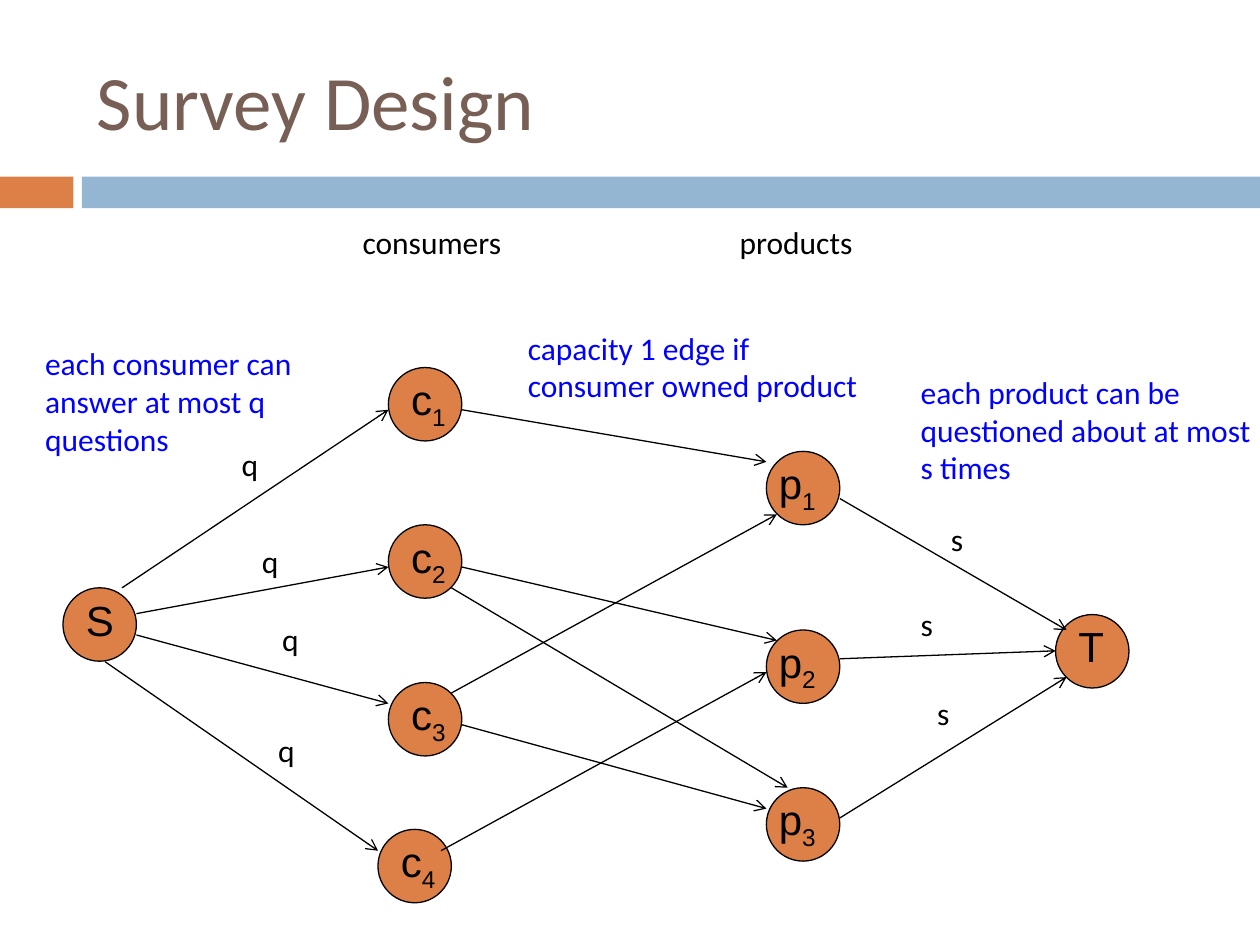
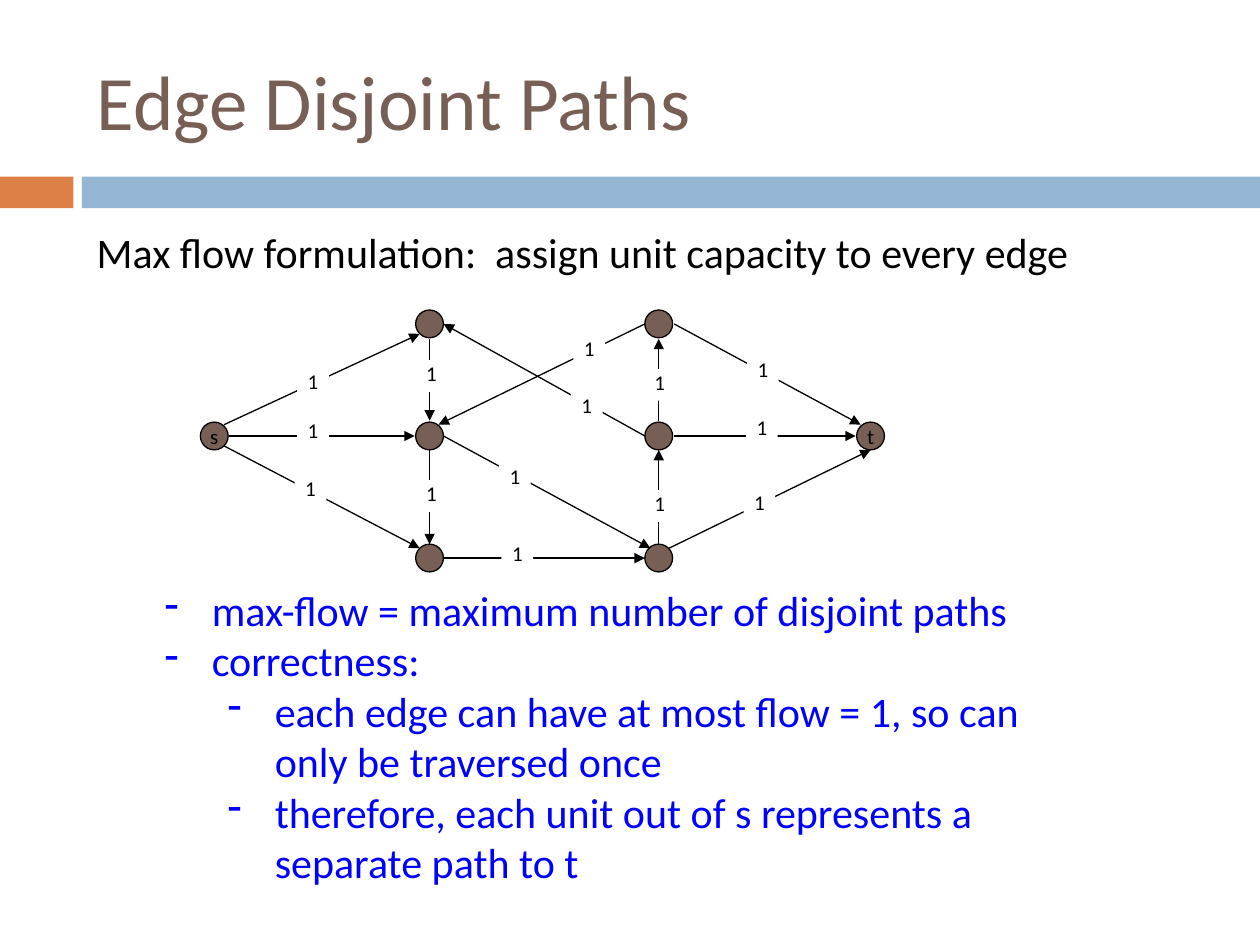
from lxml import etree
from pptx import Presentation
from pptx.dml.color import RGBColor
from pptx.enum.shapes import MSO_CONNECTOR, MSO_SHAPE
from pptx.enum.text import MSO_ANCHOR, PP_ALIGN
from pptx.oxml.ns import qn
from pptx.util import Cm, Pt

RECT, OVAL = MSO_SHAPE.RECTANGLE, MSO_SHAPE.OVAL
LINE = MSO_CONNECTOR.STRAIGHT
TOP, MID = MSO_ANCHOR.TOP, MSO_ANCHOR.MIDDLE
LEFT, CENTER = PP_ALIGN.LEFT, PP_ALIGN.CENTER

HUES = {"orange": "DD8047", "sky": "94B6D2", "brown": "775F55",
        "black": "000000", "blue": "0000FF", "white": "FFFFFF"}


class Deck:
    """Holds the shared style and the current slide, and draws each kind of element."""

    def __init__(self):
        self.prs = Presentation()
        self.prs.slide_width, self.prs.slide_height = Cm(25.4), Cm(19.05)

    def hue(self, name):
        return RGBColor.from_string(HUES[name])

    def page(self, title):
        self.slide = self.prs.slides.add_slide(self.prs.slide_layouts[6])
        self.shape(RECT, 0, 3.56, 1.48, 0.64, "orange")
        self.shape(RECT, 1.65, 3.56, 23.75, 0.64, "sky")
        box = self.text(title, 1.7, 0.64, 22.66, 2.74, size=44, hue="brown")
        box.text_frame.vertical_anchor = MID

    def style(self, para, size, hue, face="Calibri", align=LEFT):
        para.alignment = align
        font = para.font
        font.size, font.name = Pt(size), face
        font.color.rgb = self.hue(hue)

    def shape(self, kind, x, y, w, h, fill, edge=False):
        item = self.slide.shapes.add_shape(kind, Cm(x), Cm(y), Cm(w), Cm(h))
        item.shadow.inherit = False
        item.fill.solid()
        item.fill.fore_color.rgb = self.hue(fill)
        if edge:
            item.line.color.rgb = self.hue("black")
            item.line.width = Pt(0.75)
        else:
            item.line.fill.background()
        return item

    def text(self, words, x, y, w, h=1.02, size=18, hue="black", face="Calibri"):
        box = self.slide.shapes.add_textbox(Cm(x), Cm(y), Cm(w), Cm(h))
        box.text_frame.word_wrap = True
        para = box.text_frame.paragraphs[0]
        para.text = words
        self.style(para, size, hue, face)
        return box

    def inner(self, item, words, anchor):
        frame = item.text_frame
        frame.margin_left = frame.margin_right = 0
        frame.margin_top = frame.margin_bottom = 0
        frame.vertical_anchor = anchor
        para = frame.paragraphs[0]
        para.text = words
        self.style(para, 12, "black", align=CENTER)

    def node(self, name, sub, x, y, shift):
        self.shape(OVAL, x, y, 1.48, 1.48, "orange", True)
        box = self.text(name, x + shift, y, 1.48, 1.3, 24, face="Arial")
        if sub:
            run = box.text_frame.paragraphs[0].add_run()
            run.text = sub
            run._r.get_or_add_rPr().set("baseline", "-25000")

    def dot(self, x, y, name=""):
        item = self.shape(OVAL, x, y, 0.56, 0.56, "brown", True)
        if name:
            self.inner(item, name, MID)
            item.text_frame.word_wrap = False

    def tag(self, words, x, y, h):
        self.inner(self.shape(RECT, x, y, 0.64, h, "white"), words, TOP)

    def arrow(self, x1, y1, x2, y2, tip):
        link = self.slide.shapes.add_connector(LINE, Cm(x1), Cm(y1), Cm(x2), Cm(y2))
        link.line.color.rgb = self.hue("black")
        link.line.width = Pt(0.75)
        etree.SubElement(link.line._get_or_add_ln(), qn("a:tailEnd"), type=tip)
        etree.SubElement(link._element.spPr, qn("a:effectLst"))

    def bullets(self, items, x, y, w, h):
        box = self.slide.shapes.add_textbox(Cm(x), Cm(y), Cm(w), Cm(h))
        frame = box.text_frame
        frame.word_wrap = True
        for i, (level, words) in enumerate(items):
            para = frame.add_paragraph() if i else frame.paragraphs[0]
            para.text, para.level = words, level
            props = para._p.get_or_add_pPr()
            props.set("marL", str(Cm(0.95 + 1.27 * level)))
            props.set("indent", str(-Cm(0.95)))
            etree.SubElement(props, qn("a:buChar"), char="-")
            self.style(para, 24, "blue")


def survey(deck):
    deck.page("Survey Design")
    for name, sub, x, y, shift in [
            ("c", "1", 7.83, 7.41, 0.21), ("c", "2", 7.83, 10.58, 0.21),
            ("c", "3", 7.83, 13.76, 0.21), ("c", "4", 7.62, 16.72, 0.21),
            ("p", "1", 15.45, 9.1, 0), ("p", "2", 15.45, 12.7, 0),
            ("p", "3", 15.45, 15.88, 0),
            ("S", "", 1.27, 11.85, 0.21), ("T", "", 21.28, 12.39, 0.21)]:
        deck.node(name, sub, x, y, shift)
    for ends in [
            (8.89, 17.15, 15.45, 13.55), (9.31, 14.61, 15.45, 16.3),
            (9.1, 13.97, 15.66, 10.37), (9.31, 11.43, 15.66, 12.91),
            (9.31, 8.26, 15.45, 9.31), (9.1, 11.85, 15.88, 15.88),
            (2.46, 11.85, 7.83, 8.26), (2.75, 12.37, 7.83, 11.43),
            (2.75, 12.8, 7.83, 14.18), (2.12, 13.34, 7.62, 17.15),
            (16.93, 10.05, 21.5, 12.7), (16.93, 13.28, 21.28, 13.12),
            (16.93, 16.49, 21.5, 13.65)]:
        deck.arrow(*ends, "arrow")
    deck.text("consumers", 7.06, 4.37, 3.68)
    deck.text("products", 14.66, 4.37, 3.68)
    for words, x, y, h in [
            ("each consumer can answer at most q questions", 0.66, 6.81, 2.57),
            ("capacity 1 edge if consumer owned product", 10.39, 6.5, 1.8),
            ("each product can be questioned about at most s times", 18.31, 7.39, 2.57)]:
        deck.text(words, x, y, 7.16, h, hue="blue")
    for name, spots in [
            ("q", [(4.62, 8.84), (5.03, 10.8), (5.44, 12.37), (5.36, 14.61)]),
            ("s", [(18.92, 10.36), (18.31, 12.07), (18.64, 13.87)])]:
        for x, y in spots:
            deck.text(name, x, y, 1.5)


def disjoint(deck):
    deck.page("Edge Disjoint Paths")
    deck.text("Max flow formulation:  assign unit capacity to every edge",
              1.7, 4.45, 22.66, 3, 24)
    for x in (8.38, 13):
        for y in (6.25, 8.51, 10.97):
            deck.dot(x, y)
    deck.dot(4.04, 8.51, "s")
    deck.dot(17.27, 8.51, "t")
    for ends in [
            (4.52, 8.56, 8.46, 6.73), (4.62, 8.79, 8.36, 8.79),
            (4.52, 8.99, 8.46, 11.05), (8.66, 9.07, 8.66, 10.97),
            (8.94, 8.79, 13.11, 11.05), (8.94, 11.25, 13, 11.25),
            (8.66, 6.83, 8.66, 8.48), (13.28, 10.97, 13.28, 9.07),
            (13.28, 8.48, 13.28, 6.83), (13.59, 6.53, 17.35, 8.56),
            (13.59, 8.79, 17.25, 8.79), (13.49, 11.05, 17.55, 9.07),
            (13, 8.79, 8.94, 6.53), (13, 6.53, 8.84, 8.56)]:
        deck.arrow(*ends, "triangle")
    flat = [(5.99, 7.42), (5.99, 8.41), (5.94, 9.58), (10.11, 10.9), (10.06, 9.35),
            (11.51, 7.92), (11.56, 6.76), (15.06, 7.19), (15.04, 8.36), (14.99, 9.86)]
    tall = [(8.38, 7.26), (8.38, 9.68), (12.98, 7.44), (12.98, 9.88)]
    for spots, h in [(flat, 0.51), (tall, 0.64)]:
        for x, y in spots:
            deck.tag("1", x, y, h)
    deck.bullets([
        (0, "max-flow = maximum number of disjoint paths"),
        (0, "correctness:"),
        (1, "each edge can have at most flow = 1, so can only be traversed once"),
        (1, "therefore, each unit out of s represents a separate path to t"),
    ], 3.07, 11.66, 18.24, 7.39)


def main():
    deck = Deck()
    survey(deck)
    disjoint(deck)
    deck.prs.save("out.pptx")


if __name__ == "__main__":
    main()
